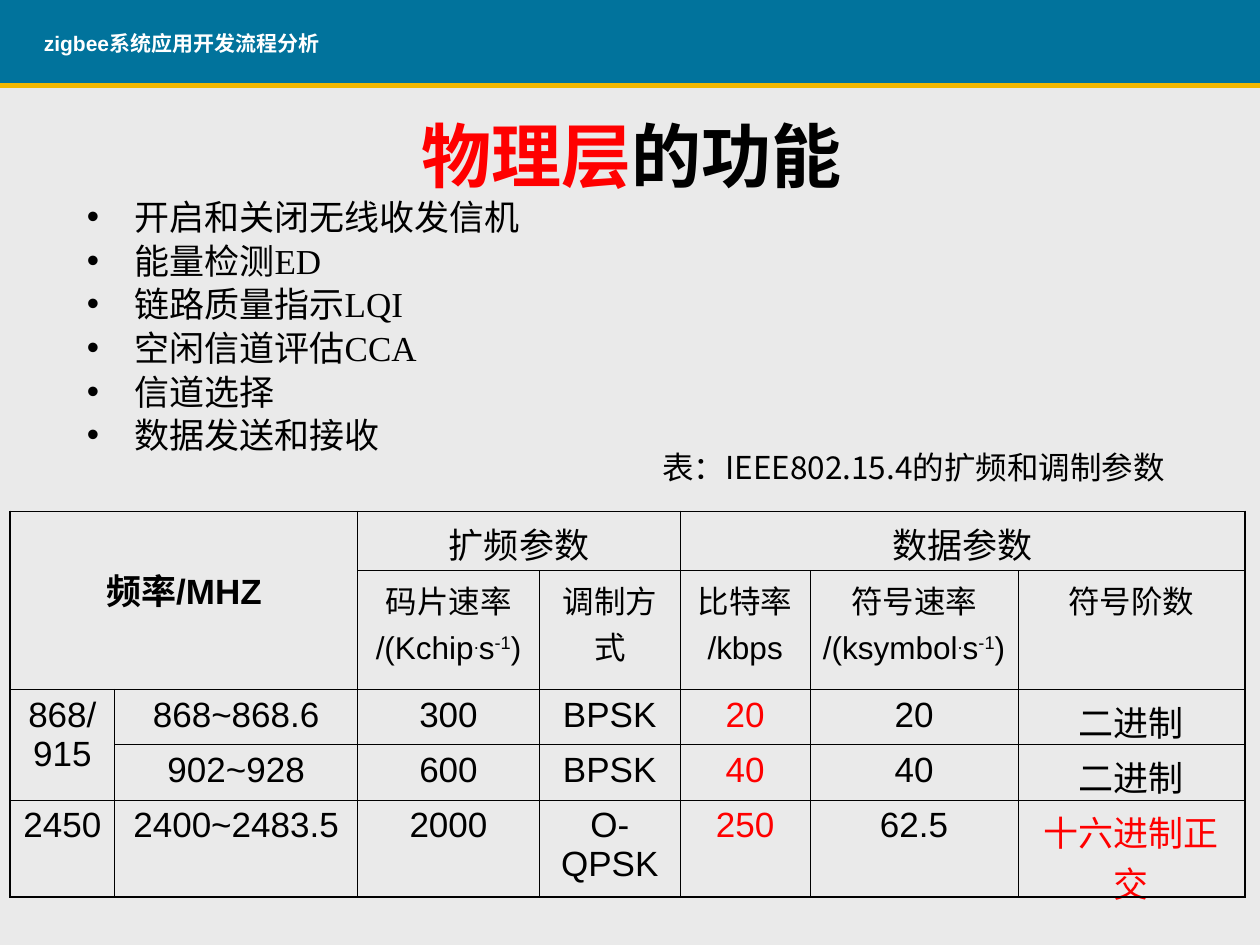
from dataclasses import dataclass

from lxml import etree
from pptx import Presentation
from pptx import util as u
from pptx.dml.color import RGBColor
from pptx.enum import shapes, text
from pptx.oxml import ns

CENTER = text.PP_ALIGN.CENTER
MIDDLE = text.MSO_ANCHOR.MIDDLE


@dataclass(frozen=True)
class Theme:
    paper: str = "EAEAEA"
    band: str = "01739C"
    rule: str = "F3B800"
    ink: str = "000000"
    accent: str = "FF0000"
    light: str = "FFFFFF"
    sans: str = "Arial"
    serif: str = "Times New Roman"
    asian: str = "Noto Sans CJK KR"
    heading: int = 40
    body: int = 20
    small: int = 18
    label: int = 12
    outer: float = 1.08
    inner: float = 0.45


THEME = Theme()
RED = {"color": THEME.accent}
RAISED = {"raised": True}


def add_span(para, content, size=THEME.body, font=THEME.sans, color=THEME.ink,
             bold=False, raised=False):
    span = para.add_run()
    span.text = content
    span.font.size = u.Pt(size)
    span.font.bold = bold
    span.font.name = font
    span.font.color.rgb = RGBColor.from_string(color)
    properties = span._r.get_or_add_rPr()
    etree.SubElement(properties, ns.qn("a:ea"), typeface=THEME.asian)
    if raised:
        properties.set("baseline", "30000")


def write(frame, paragraphs, align=None, before=0, spacing=None, **style):
    for index, spans in enumerate(paragraphs):
        para = frame.add_paragraph() if index else frame.paragraphs[0]
        para.alignment = align
        para.line_spacing = spacing
        para.space_before = u.Pt(before if index else 0)
        for content, changes in spans:
            add_span(para, content, **{**style, **changes})


def plain(*lines, **changes):
    return [[(line, changes)] for line in lines]


def rate(prefix):
    return [(prefix, {}), (".", RAISED), ("s", {}), ("-1", RAISED), (")", {})]


class Page:
    COLUMNS, ROWS = 100, 75

    def __init__(self, deck, theme):
        self.theme = theme
        self.unit_x = deck.slide_width / self.COLUMNS
        self.unit_y = deck.slide_height / self.ROWS
        self.slide = deck.slides.add_slide(deck.slide_layouts[1])
        fill = self.slide.background.fill
        fill.solid()
        fill.fore_color.rgb = RGBColor.from_string(theme.paper)

    def across(self, columns):
        return u.Emu(round(columns * self.unit_x))

    def down(self, rows):
        return u.Emu(round(rows * self.unit_y))

    def area(self, left, top, width, height):
        return self.across(left), self.down(top), self.across(width), self.down(height)

    def band(self, *area):
        shape = self.slide.shapes.add_shape(shapes.MSO_SHAPE.RECTANGLE, *self.area(*area))
        shape.shadow.inherit = False
        shape.fill.solid()
        shape.fill.fore_color.rgb = RGBColor.from_string(self.theme.band)
        shape.line.fill.background()

    def rule(self, row, width):
        line = self.slide.shapes.add_connector(
            shapes.MSO_CONNECTOR.STRAIGHT, 0, self.down(row),
            self.across(self.COLUMNS), self.down(row))
        line.line.color.rgb = RGBColor.from_string(self.theme.rule)
        line.line.width = u.Pt(width)
        etree.SubElement(line._element.spPr, ns.qn("a:effectLst"))

    def placeholder(self, index, area, paragraphs, anchor, **style):
        box = self.slide.placeholders[index]
        box.left, box.top, box.width, box.height = self.area(*area)
        box.text_frame.auto_size = text.MSO_AUTO_SIZE.NONE
        box.text_frame.vertical_anchor = anchor
        write(box.text_frame, paragraphs, **style)

    def label(self, area, content, **style):
        box = self.slide.shapes.add_textbox(*self.area(*area))
        box.text_frame.word_wrap = True
        write(box.text_frame, plain(content), **style)

    def table(self, left, top, widths, heights, merges):
        area = self.area(left, top, sum(widths), sum(heights))
        grid = self.slide.shapes.add_table(len(heights), len(widths), *area).table
        grid.first_row = grid.horz_banding = False
        for column, width in zip(grid.columns, widths):
            column.width = self.across(width)
        for row, height in zip(grid.rows, heights):
            row.height = self.down(height)
        for start, end in merges:
            grid.cell(*start).merge(grid.cell(*end))
        for row in range(len(heights)):
            for column in range(len(widths)):
                cell = grid.cell(row, column)
                self.borders(cell, {
                    "L": column == 0,
                    "R": column + cell.span_width == len(widths),
                    "T": row == 0,
                    "B": row + cell.span_height == len(heights)})
                cell.fill.background()
        return grid

    def borders(self, cell, edges):
        properties = cell._tc.get_or_add_tcPr()
        for side, outside in edges.items():
            width = u.Pt(self.theme.outer if outside else self.theme.inner)
            line = etree.SubElement(properties, ns.qn(f"a:ln{side}"), w=str(int(width)))
            fill = etree.SubElement(line, ns.qn("a:solidFill"))
            etree.SubElement(fill, ns.qn("a:srgbClr"), val=self.theme.ink)


def fill_parameters(grid):
    frequency = grid.cell(0, 0)
    frequency.vertical_anchor = MIDDLE
    frequency.margin_bottom = u.Inches(0.22)
    write(frequency.text_frame, plain("频率/MHZ"), align=CENTER, bold=True)
    for column, heading in ((2, "扩频参数"), (4, "数据参数")):
        write(grid.cell(0, column).text_frame, plain(heading), align=CENTER)

    headings = [
        plain("码片速率") + [rate("/(Kchip")],
        plain("调制方式"),
        plain("比特率", "/kbps"),
        plain("符号速率") + [rate("/(ksymbol")],
        plain("符号阶数"),
    ]
    for column, heading in enumerate(headings, 2):
        write(grid.cell(1, column).text_frame, heading, align=CENTER,
              before=4.5, size=THEME.small)

    records = [
        ("868/915", "868~868.6", "300", "BPSK", "20", "20", "二进制"),
        (None, "902~928", "600", "BPSK", "40", "40", "二进制"),
        ("2450", "2400~2483.5", "2000", "O-QPSK", "250", "62.5", "十六进制正交"),
    ]
    for row, record in enumerate(records, 2):
        for column, value in enumerate(record):
            if value:
                changes = RED if column == 4 or value == "十六进制正交" else {}
                write(grid.cell(row, column).text_frame, plain(value, **changes),
                      align=CENTER)


def main():
    deck = Presentation()
    deck.slide_width, deck.slide_height = u.Inches(10), u.Inches(7.5)
    page = Page(deck, THEME)
    page.band(0, 0, 100, 6.6)
    page.label((2.5, 1.9, 46.5, 3), "zigbee系统应用开发流程分析",
               size=THEME.label, color=THEME.light, bold=True)
    page.rule(6.8, 2.5)
    page.placeholder(0, (5.1, 6, 90, 12.5), [[("物理层", RED), ("的功能", {})]], MIDDLE,
                     align=CENTER, size=THEME.heading, font=THEME.serif, bold=True)
    functions = plain("开启和关闭无线收发信机", "能量检测ED", "链路质量指示LQI",
                      "空闲信道评估CCA", "信道选择", "数据发送和接收")
    page.placeholder(1, (5.9, 15.6, 37.8, 25.2), functions, text.MSO_ANCHOR.TOP,
                     before=5, spacing=0.83, font=THEME.serif)
    grid = page.table(0.8, 40.6, (8.3, 19.3, 14.4, 11.2, 10.3, 16.5, 18),
                      (4.7, 9.4, 4.4, 4.4, 7.7),
                      [((0, 0), (1, 1)), ((0, 2), (0, 3)),
                       ((0, 4), (0, 6)), ((2, 0), (3, 0))])
    fill_parameters(grid)
    page.label((51.6, 35.1, 43.3, 4), "表：IEEE802.15.4的扩频和调制参数",
               size=THEME.small, font=THEME.asian)
    deck.save("out.pptx")


if __name__ == "__main__":
    main()
